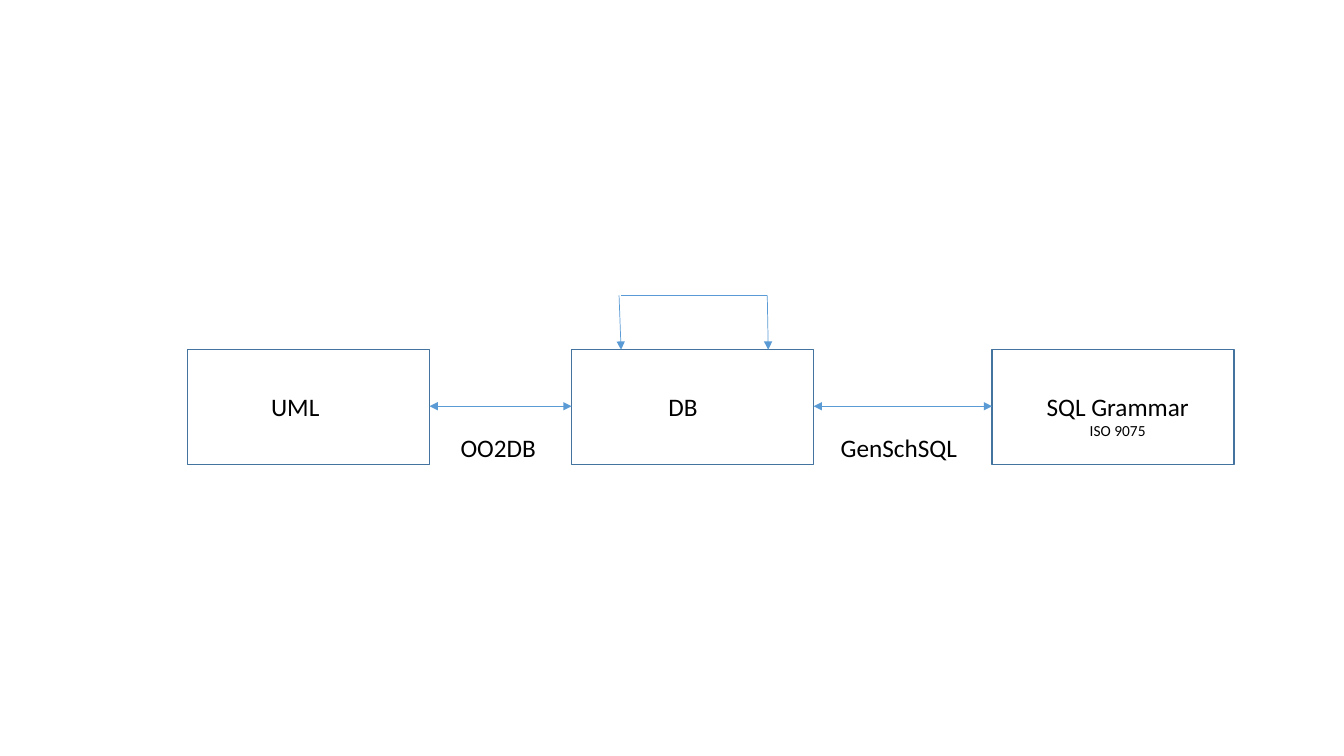
from lxml import etree
from pptx import Presentation
from pptx import util as u
from pptx.dml.color import RGBColor
from pptx.enum import shapes, text
from pptx.oxml import ns

COLORS = {"border": "43739E", "arrow": "5B9BD5", "text": "000000"}
BOX_TOP, BOX_W, BOX_H = 3.47, 2.4, 1.14
ARROW_Y = 4.03


def rgb(name):
    return RGBColor.from_string(COLORS[name])


def add_text(s, lines, x, y, w, h, font="Calibri", color="text", align=None):
    tf = s.shapes.add_textbox(*map(u.Inches, (x, y, w, h))).text_frame
    tf.word_wrap = True
    tf.auto_size = text.MSO_AUTO_SIZE.SHAPE_TO_FIT_TEXT
    for i, (line, size) in enumerate(lines):
        p = tf.paragraphs[0] if i == 0 else tf.add_paragraph()
        p.alignment = align
        r = p.add_run()
        r.text = line
        r.font.name = font
        r.font.size = u.Pt(size)
        r.font.color.rgb = rgb(color)


def add_line(s, start, end, ends=()):
    sp = s.shapes.add_connector(
        shapes.MSO_CONNECTOR.STRAIGHT, *map(u.Inches, (*start, *end)))
    sp.line.color.rgb = rgb("arrow")
    sp.line.width = u.Pt(0.5)
    ln = sp.line._get_or_add_ln()
    for end_name in ends:
        etree.SubElement(ln, ns.qn(f"a:{end_name}"), type="triangle")
    etree.SubElement(sp._element.spPr, ns.qn("a:effectLst"))


def add_model(s, x, lines, label_x, label_w, label_h=0.4, align=None):
    sp = s.shapes.add_shape(
        shapes.MSO_SHAPE.RECTANGLE, *map(u.Inches, (x, BOX_TOP, BOX_W, BOX_H)))
    sp.shadow.inherit = False
    sp.fill.background()
    sp.line.color.rgb = rgb("border")
    sp.line.width = u.Pt(1)
    add_text(s, lines, x + label_x, BOX_TOP + 0.36, label_w, label_h, align=align)


def add_mapping(s, left, right, label, label_x, label_w):
    add_line(s, (left, ARROW_Y), (right, ARROW_Y), ("headEnd", "tailEnd"))
    add_text(s, [(label, 18)], left + label_x, ARROW_Y + 0.21, label_w, 0.4)


def add_loop(s, x, y):
    bottom = y + 0.54
    add_line(s, (x, y), (x + 0.02, bottom), ("tailEnd",))
    add_line(s, (x + 1.47, y), (x + 1.48, bottom), ("tailEnd",))
    add_line(s, (x + 0.02, y), (x + 1.47, y))


def main():
    prs = Presentation()
    prs.slide_width, prs.slide_height = u.Inches(13.33), u.Inches(7.5)
    s = prs.slides.add_slide(prs.slide_layouts[6])
    uml, db, sql = 1.86, 5.67, 9.84
    add_model(s, uml, [("UML", 18)], 0.73, 0.69)
    add_model(s, db, [("DB", 18)], 0.86, 0.69)
    add_model(s, sql, [("SQL Grammar", 18), ("ISO 9075", 11)], 0.3, 1.89,
              label_h=0.59, align=text.PP_ALIGN.CENTER)
    add_mapping(s, uml + BOX_W, db, "OO2DB", 0.21, 0.97)
    add_mapping(s, db + BOX_W, sql, "GenSchSQL", 0.17, 1.39)
    add_loop(s, db + 0.47, BOX_TOP - 0.54)
    prs.save("out.pptx")


if __name__ == "__main__":
    main()
